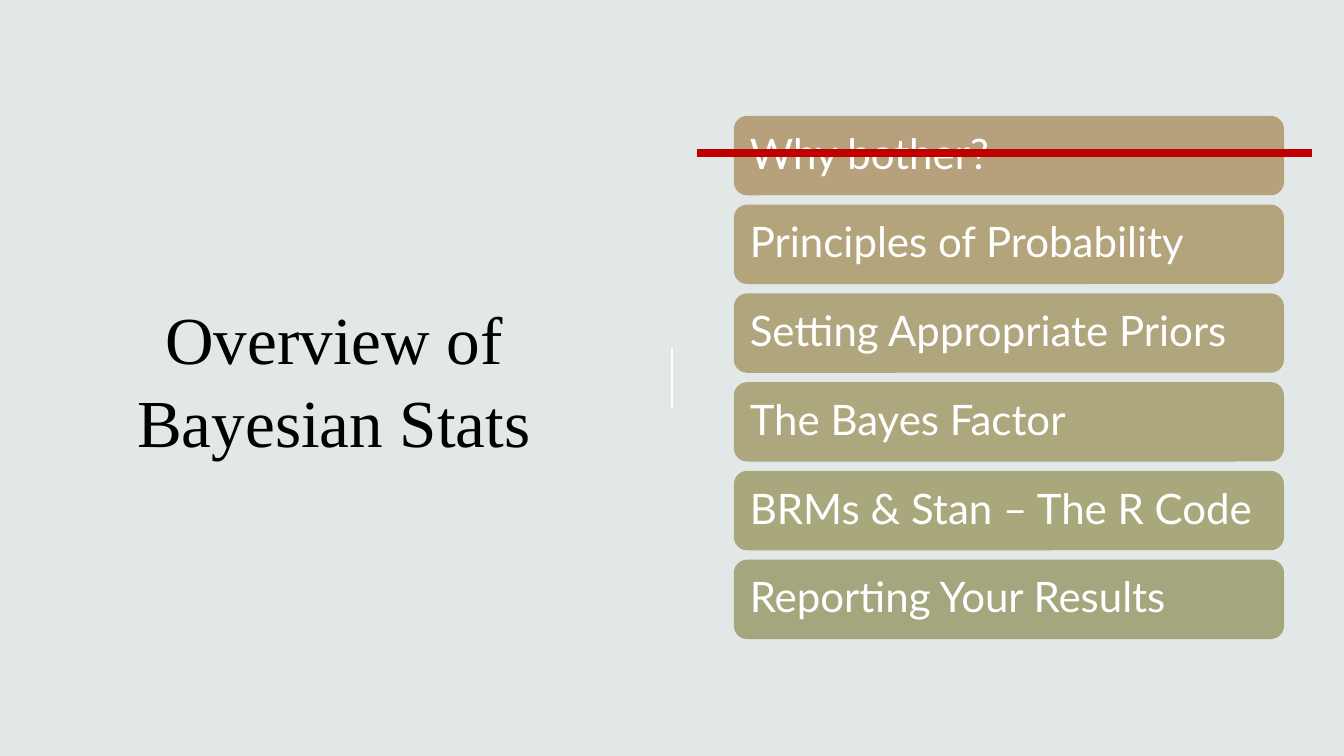
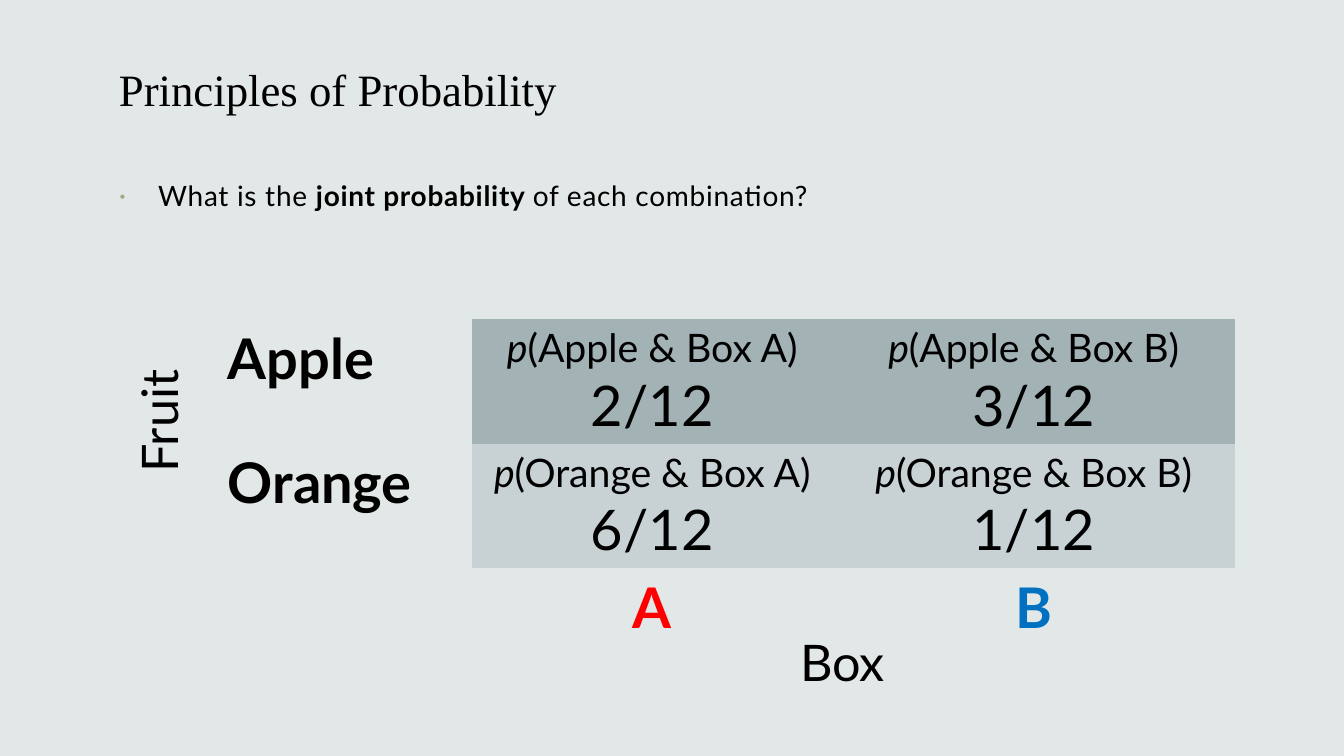
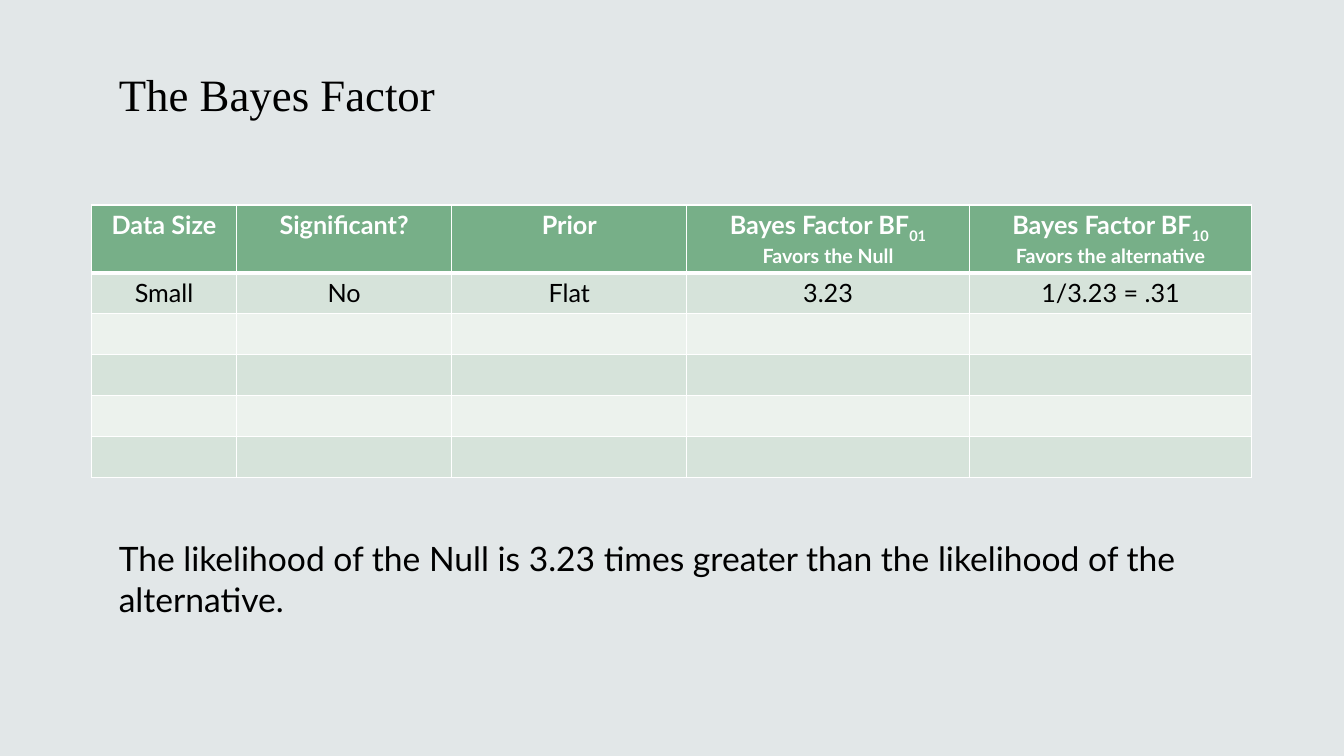
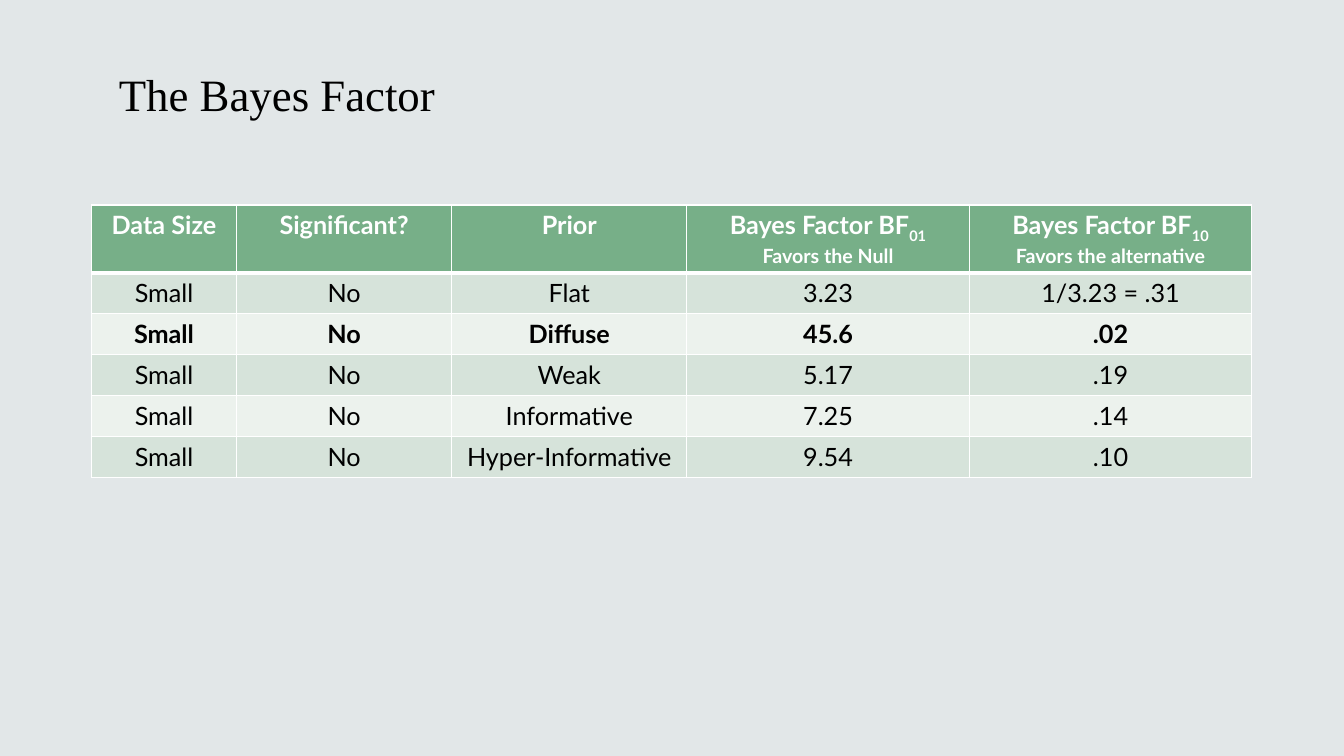
from dataclasses import dataclass

from lxml import etree
from pptx import Presentation
from pptx.dml.color import RGBColor
from pptx.enum.shapes import MSO_CONNECTOR, MSO_SHAPE
from pptx.enum.text import MSO_ANCHOR, PP_ALIGN
from pptx.oxml.ns import qn
from pptx.util import Pt

LEFT, CENTER = PP_ALIGN.LEFT, PP_ALIGN.CENTER
TOP, MIDDLE, BOTTOM = MSO_ANCHOR.TOP, MSO_ANCHOR.MIDDLE, MSO_ANCHOR.BOTTOM
ROUNDED = MSO_SHAPE.ROUNDED_RECTANGLE
STRAIGHT = MSO_CONNECTOR.STRAIGHT
NO_STYLE = "{2D5ABB26-0587-4C30-8999-92F81FD0307C}"


@dataclass(frozen=True)
class Theme:
    background: str = "E2E7E8"
    ink: str = "000000"
    white: str = "FFFFFF"
    strike: str = "C00000"
    bullet: str = "A4A67E"
    agenda: tuple = ("B6A17C", "B3A47C", "B0A67D", "ADA77D", "A9A87D", "A4A67E")
    grid: tuple = ("A2B2B5", "C8D2D4")
    box_a: str = "FF0000"
    box_b: str = "0070C0"
    header: str = "77AF88"
    bands: tuple = ("D6E3DA", "ECF2ED")
    title_font: str = "Times New Roman"
    body_font: str = "Lato"
    cover: int = 48
    big: int = 40
    axis: int = 36
    title: int = 32
    item: int = 30
    formula: int = 28
    note: int = 24
    body: int = 20
    cell: int = 18
    small: int = 14


T = Theme()


def rgb(value):
    return RGBColor.from_string(value)


def write(tf, paras, size=T.cell, color=T.ink, font=T.body_font, bold=False,
          align=LEFT, spacing=None, anchor=None, inset=None, wrap=True,
          bullet=None, indent=0, tracking=0):
    if wrap is not None:
        tf.word_wrap = wrap
    if anchor is not None:
        tf.vertical_anchor = anchor
    if inset is not None:
        tf.margin_left = tf.margin_right = Pt(inset)
        tf.margin_top = tf.margin_bottom = Pt(inset)
    if isinstance(paras, str):
        paras = [[(paras, {})]]
    for i, runs in enumerate(paras):
        p = tf.paragraphs[0] if i == 0 else tf.add_paragraph()
        if bullet:
            add_bullet(p, bullet, indent)
        p.alignment = align
        if spacing:
            p.line_spacing = spacing
        for words, extra in runs:
            r = p.add_run()
            r.text = words
            r.font.name = font
            r.font.size = Pt(extra.get("size", size))
            r.font.bold = extra.get("bold", bold)
            r.font.italic = extra.get("italic", False)
            r.font.color.rgb = rgb(extra.get("color", color))
            rPr = r._r.get_or_add_rPr()
            if tracking:
                rPr.set("spc", str(int(tracking * 100)))
            if "baseline" in extra:
                rPr.set("baseline", str(extra["baseline"] * 1000))


def add_bullet(p, char, indent):
    pPr = p._p.get_or_add_pPr()
    pPr.set("marL", str(Pt(indent)))
    pPr.set("indent", str(-Pt(indent)))
    clr = etree.SubElement(pPr, qn("a:buClr"))
    etree.SubElement(clr, qn("a:srgbClr"), val=T.bullet)
    etree.SubElement(pPr, qn("a:buFont"), typeface=T.body_font)
    etree.SubElement(pPr, qn("a:buChar"), char=char)


def add_text(s, box, paras, **fmt):
    sp = s.shapes.add_textbox(*map(Pt, box))
    write(sp.text_frame, paras, **fmt)
    return sp


def add_title(s, words, height):
    add_text(s, (77.8, 31, 804, height), words, size=T.title,
             font=T.title_font, anchor=BOTTOM)


def add_line(s, x1, y1, x2, y2, color, width):
    line = s.shapes.add_connector(STRAIGHT, Pt(x1), Pt(y1), Pt(x2), Pt(y2))
    line.line.color.rgb = rgb(color)
    line.line.width = Pt(width)
    etree.SubElement(line._element.spPr, qn("a:effectLst"))


def add_table(s, left, top, widths, heights):
    frame = s.shapes.add_table(len(heights), len(widths), Pt(left), Pt(top),
                               Pt(sum(widths)), Pt(sum(heights)))
    table = frame.table
    table.first_row = table.horz_banding = False
    table._tbl.tblPr.find(qn("a:tableStyleId")).text = NO_STYLE
    for col, width in zip(table.columns, widths):
        col.width = Pt(width)
    for row, height in zip(table.rows, heights):
        row.height = Pt(height)
    return table


def fill_cell(cell, color=None):
    if color:
        cell.fill.solid()
        cell.fill.fore_color.rgb = rgb(color)
    else:
        cell.fill.background()


def add_borders(cell, **widths):
    tcPr = cell._tc.get_or_add_tcPr()
    for side in "LRTB":
        ln = etree.SubElement(tcPr, qn("a:ln" + side), w=str(Pt(widths.get(side, 1))))
        fill = etree.SubElement(ln, qn("a:solidFill"))
        etree.SubElement(fill, qn("a:srgbClr"), val=T.white)


def agenda_list(s, left, top, width, items):
    height, pitch = 56.7, 63.4
    for i, (words, color) in enumerate(zip(items, T.agenda)):
        bar = s.shapes.add_shape(ROUNDED, Pt(left), Pt(top + i * pitch),
                                 Pt(width), Pt(height))
        bar.shadow.inherit = False
        bar.fill.solid()
        bar.fill.fore_color.rgb = rgb(color)
        bar.line.fill.background()
        write(bar.text_frame, words, size=T.item, color=T.white,
              spacing=0.9, anchor=MIDDLE, inset=8.64)
    add_line(s, left - 26, top + 26.6, left + width + 20, top + 26.6, T.strike, 6)


def probability_grid(s, left, top):
    table = add_table(s, left, top, (181.8, 257.3, 287.6), (88.8, 88.8, 82))
    rows = (("Apple", "2/12", "3/12"), ("Orange", "6/12", "1/12"))
    for i, (fruit, *odds) in enumerate(rows):
        fill_cell(table.cell(i, 0))
        write(table.cell(i, 0).text_frame, fruit, size=T.big, bold=True, wrap=None)
        for j, (box, value) in enumerate(zip("AB", odds), 1):
            cell = table.cell(i, j)
            fill_cell(cell, T.grid[i])
            write(cell.text_frame,
                  [[("p", {"italic": True}), (f"({fruit} & Box {box})", {})],
                   [(value, {"size": T.big})]],
                  size=T.formula, align=CENTER, wrap=None)
    fill_cell(table.cell(2, 0))
    for j, (box, color) in enumerate((("A", T.box_a), ("B", T.box_b)), 1):
        fill_cell(table.cell(2, j))
        write(table.cell(2, j).text_frame, box, size=T.big, color=color,
              bold=True, align=CENTER, wrap=None)
    fruit_axis = add_text(s, (left - 86.4, top + 46.8, 88.6, 51), "Fruit",
                          size=T.axis, wrap=False)
    fruit_axis.rotation = 270
    add_text(s, (left + 409, top + 219.6, 77, 51), "Box", size=T.axis, wrap=False)


def factor_header(index, favored):
    return [[("Bayes Factor BF", {}), (index, {"baseline": -25})],
            [(f"Favors the {favored}", {"size": T.small})]]


def factor_table(s, left, top, rows, bold_row=None):
    header = ("Data Size", "Significant?", "Prior",
              factor_header("01", "Null"), factor_header("10", "alternative"))
    table = add_table(s, left, top, (103.3, 154, 167.8, 201.8, 201.8),
                      [45.6] + [29.2] * 5)
    for j, label in enumerate(header):
        cell = table.cell(0, j)
        add_borders(cell, B=3)
        fill_cell(cell, T.header)
        write(cell.text_frame, label, color=T.white, bold=True,
              align=CENTER, wrap=None)
    for i in range(1, 6):
        values = rows[i - 1] if i <= len(rows) else ()
        for j in range(len(header)):
            cell = table.cell(i, j)
            add_borders(cell, T=3 if i == 1 else 1)
            fill_cell(cell, T.bands[(i - 1) % 2])
            if values:
                write(cell.text_frame, values[j], bold=i == bold_row,
                      align=CENTER, wrap=None)


def overview_slide(s):
    add_text(s, (85, 85, 307.4, 369.4), "Overview of Bayesian Stats", size=T.cover,
             font=T.title_font, align=CENTER, anchor=MIDDLE, spacing=1.03)
    add_line(s, 480, 248.4, 480, 291.6, T.white, 1)
    agenda_list(s, 524.2, 82.8, 393, (
        "Why bother?", "Principles of Probability", "Setting Appropriate Priors",
        "The Bayes Factor", "BRMs & Stan – The R Code", "Reporting Your Results"))


def probability_slide(s):
    add_title(s, "Principles of Probability", 54.7)
    probability_grid(s, 155.5, 228)
    add_text(s, (77.8, 111.6, 804, 60),
             [[("What is the ", {}), ("joint probability ", {"bold": True}),
               ("of each combination?", {})]],
             size=T.body, spacing=1.5, bullet="·", indent=28, tracking=0.5)


def factor_slide(s, rows, bold_row=None, note=None):
    add_title(s, "The Bayes Factor", 58.3)
    factor_table(s, 65.5, 146.4, rows, bold_row)
    if note:
        add_text(s, (77.8, 381, 816.5, 65.5), note, size=T.note)


def main():
    prs = Presentation()
    prs.slide_width, prs.slide_height = Pt(960), Pt(540)
    background = prs.slide_master.background.fill
    background.solid()
    background.fore_color.rgb = rgb(T.background)
    results = [("Small", "No", *row) for row in (
        ("Flat", "3.23", "1/3.23 = .31"), ("Diffuse", "45.6", ".02"),
        ("Weak", "5.17", ".19"), ("Informative", "7.25", ".14"),
        ("Hyper-Informative", "9.54", ".10"))]
    slides = [prs.slides.add_slide(prs.slide_layouts[6]) for _ in range(4)]
    overview_slide(slides[0])
    probability_slide(slides[1])
    factor_slide(slides[2], results[:1],
                 note="The likelihood of the Null is 3.23 times greater than "
                      "the likelihood of the alternative.")
    factor_slide(slides[3], results, bold_row=2)
    prs.save("out.pptx")


if __name__ == "__main__":
    main()
